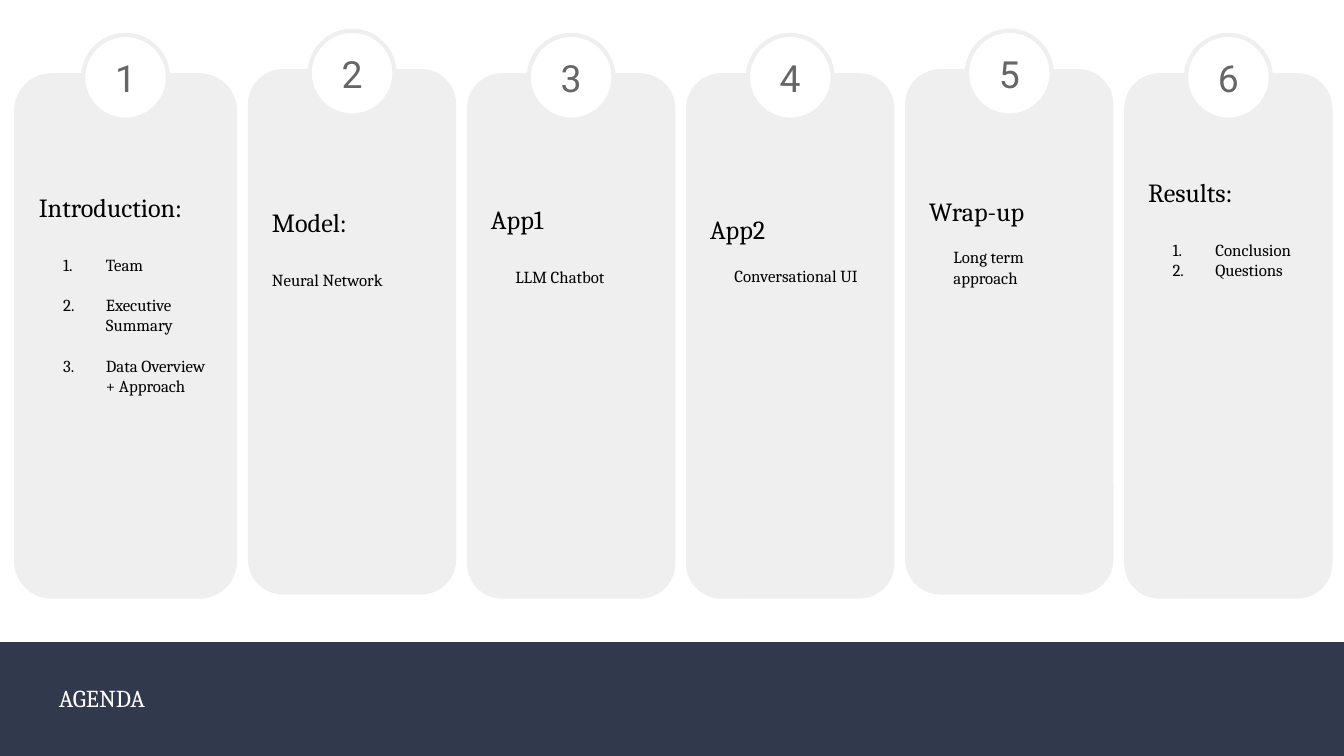
from lxml import etree
from pptx import Presentation
from pptx import util as u
from pptx.dml.color import RGBColor
from pptx.enum import shapes, text
from pptx.oxml import ns

WHITE = RGBColor(0xFF, 0xFF, 0xFF)
BLACK = RGBColor(0, 0, 0)
NAVY = RGBColor(0x31, 0x39, 0x4D)
PALE = RGBColor(0xEF, 0xEF, 0xEF)
GREY = RGBColor(0x66, 0x66, 0x66)

SERIF, SANS = "Cambria", "Roboto"
SHAPE = shapes.MSO_SHAPE
INSET = 7.2
CARD_HEIGHT = 280.8
CARD_WIDTH = 110.9
CARD_PITCH = 117.36
BADGE_SIZE = 45.4
BADGE_RISE = 20.9
HIGH, LOW = 37.4, 39.6

TOPICS = [
    ("Introduction:", ["Team", "Executive Summary", "Data Overview + Approach"],
     LOW, 57.1, 17, 10.9, 36, True),
    ("Model:", ["Neural Network"], HIGH, 67.9, 17, 0, 0, False),
    ("App1", ["LLM Chatbot"], LOW, 64.2, 17, 0, 13, False),
    ("App2", ["Conversational UI"], LOW, 69.5, 10.9, 0, 13, False),
    ("Wrap-up", ["Long term approach"], HIGH, 61.9, 10.9, 0, 13, False),
    ("Results:", ["Conclusion", "Questions"], LOW, 49.7, 17, 0, 36, True),
]


class AgendaSlide:
    def __init__(self, page):
        self.page = page

    def shape(self, parent, kind, left, top, width, height, fill, line=None, weight=0.75):
        box = parent.shapes.add_shape(kind, u.Pt(left), u.Pt(top), u.Pt(width), u.Pt(height))
        box.shadow.inherit = False
        box.fill.solid()
        box.fill.fore_color.rgb = fill
        if line is None:
            box.line.fill.background()
        else:
            box.line.color.rgb = line
            box.line.width = u.Pt(weight)
        return box

    def frame(self, box, anchor, top=INSET):
        frame = box.text_frame
        frame.word_wrap = True
        frame.vertical_anchor = anchor
        frame.margin_left = frame.margin_right = frame.margin_bottom = u.Pt(INSET)
        frame.margin_top = u.Pt(top)
        return frame

    def add_words(self, para, words, size, color, font=SERIF, align=text.PP_ALIGN.LEFT):
        para.alignment = align
        span = para.add_run()
        span.text = words
        span.font.size = u.Pt(size)
        span.font.name = font
        span.font.color.rgb = color

    def indent(self, para, left, numbered):
        props = para._p.get_or_add_pPr()
        props.set("marL", str(u.Pt(left)))
        props.set("indent", str(u.Pt(-23 if numbered else 0)))
        if numbered:
            color = etree.SubElement(props, ns.qn("a:buClr"))
            etree.SubElement(color, ns.qn("a:srgbClr"), val=str(BLACK))
            etree.SubElement(props, ns.qn("a:buFont"), typeface=SERIF)
            etree.SubElement(props, ns.qn("a:buAutoNum"), type="arabicPeriod")

    def card(self, number, left, width, topic):
        heading, items, top, text_top, heading_gap, item_gap, indent, numbered = topic
        group = self.page.shapes.add_group_shape()
        box = self.shape(group, SHAPE.ROUNDED_RECTANGLE, left, top, width, CARD_HEIGHT,
                         PALE, PALE)
        box.adjustments[0] = 0.167
        frame = self.frame(box, text.MSO_ANCHOR.TOP, text_top)
        self.add_words(frame.paragraphs[0], heading, 14, BLACK)
        for index, item in enumerate(items):
            para = frame.add_paragraph()
            self.indent(para, indent, numbered)
            para.space_before = u.Pt(item_gap if index else heading_gap)
            self.add_words(para, item, 9, BLACK)
        badge = self.shape(group, SHAPE.OVAL, left + (width - BADGE_SIZE) / 2,
                           top - BADGE_RISE, BADGE_SIZE, BADGE_SIZE, WHITE, PALE, 2.25)
        frame = self.frame(badge, text.MSO_ANCHOR.MIDDLE)
        self.add_words(frame.paragraphs[0], str(number), 20, GREY, SANS, text.PP_ALIGN.CENTER)

    def footer(self, title):
        self.shape(self.page, SHAPE.RECTANGLE, 0, 344, 720, 61, NAVY)
        box = self.page.shapes.add_textbox(u.Pt(24.5), u.Pt(355.7), u.Pt(628.6), u.Pt(36))
        frame = self.frame(box, text.MSO_ANCHOR.MIDDLE)
        self.add_words(frame.paragraphs[0], title, 13, WHITE)


def main():
    deck = Presentation()
    deck.slide_width, deck.slide_height = u.Pt(720), u.Pt(405)
    page = deck.slides.add_slide(deck.slide_layouts[6])
    page.background.fill.solid()
    page.background.fill.fore_color.rgb = WHITE
    agenda = AgendaSlide(page)
    agenda.footer("AGENDA")
    for index, topic in enumerate(TOPICS):
        left = 133.2 + CARD_PITCH * (index - 1) if index else 7.9
        width = CARD_WIDTH if index else 118.8
        agenda.card(index + 1, left, width, topic)
    deck.save("out.pptx")


if __name__ == "__main__":
    main()
